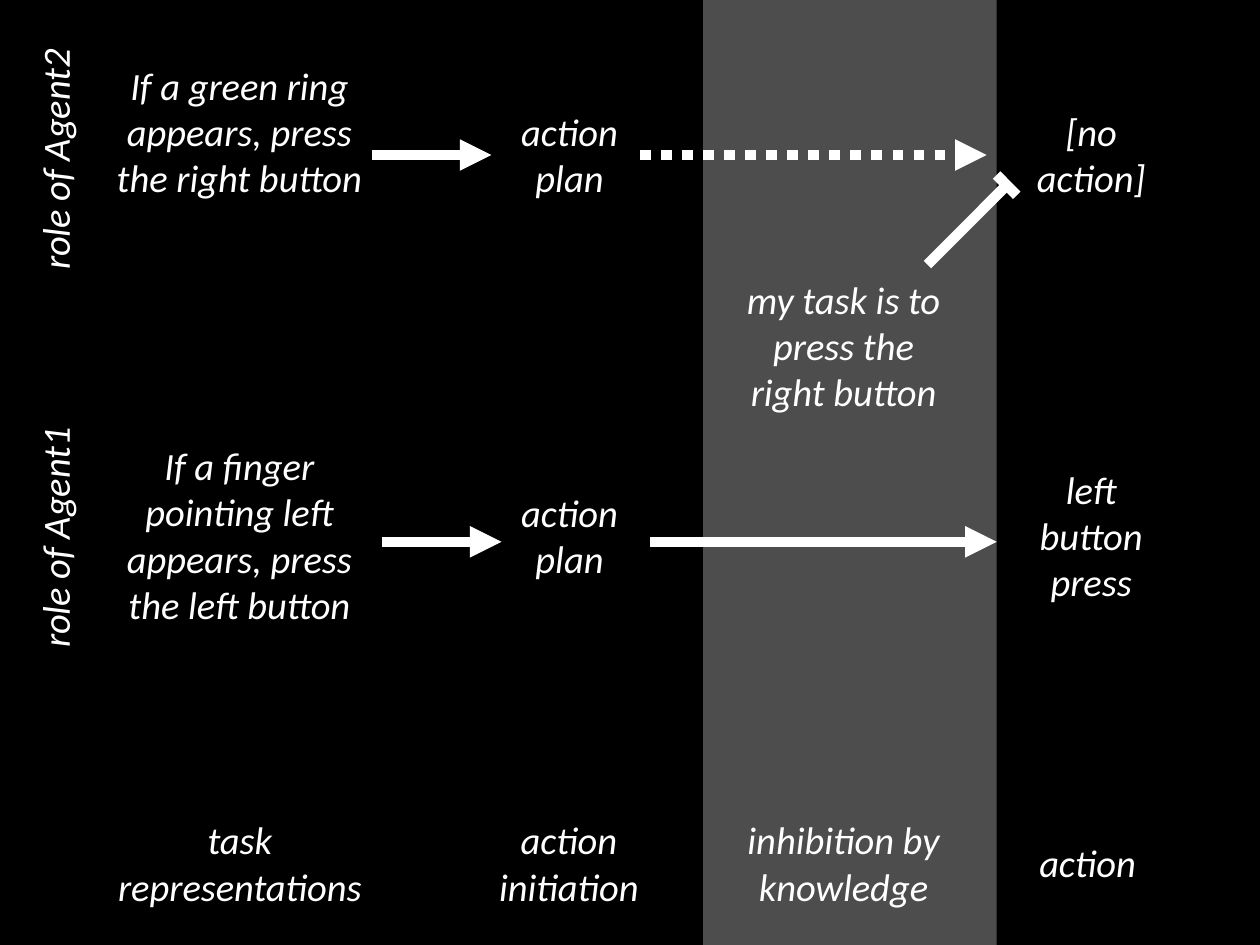
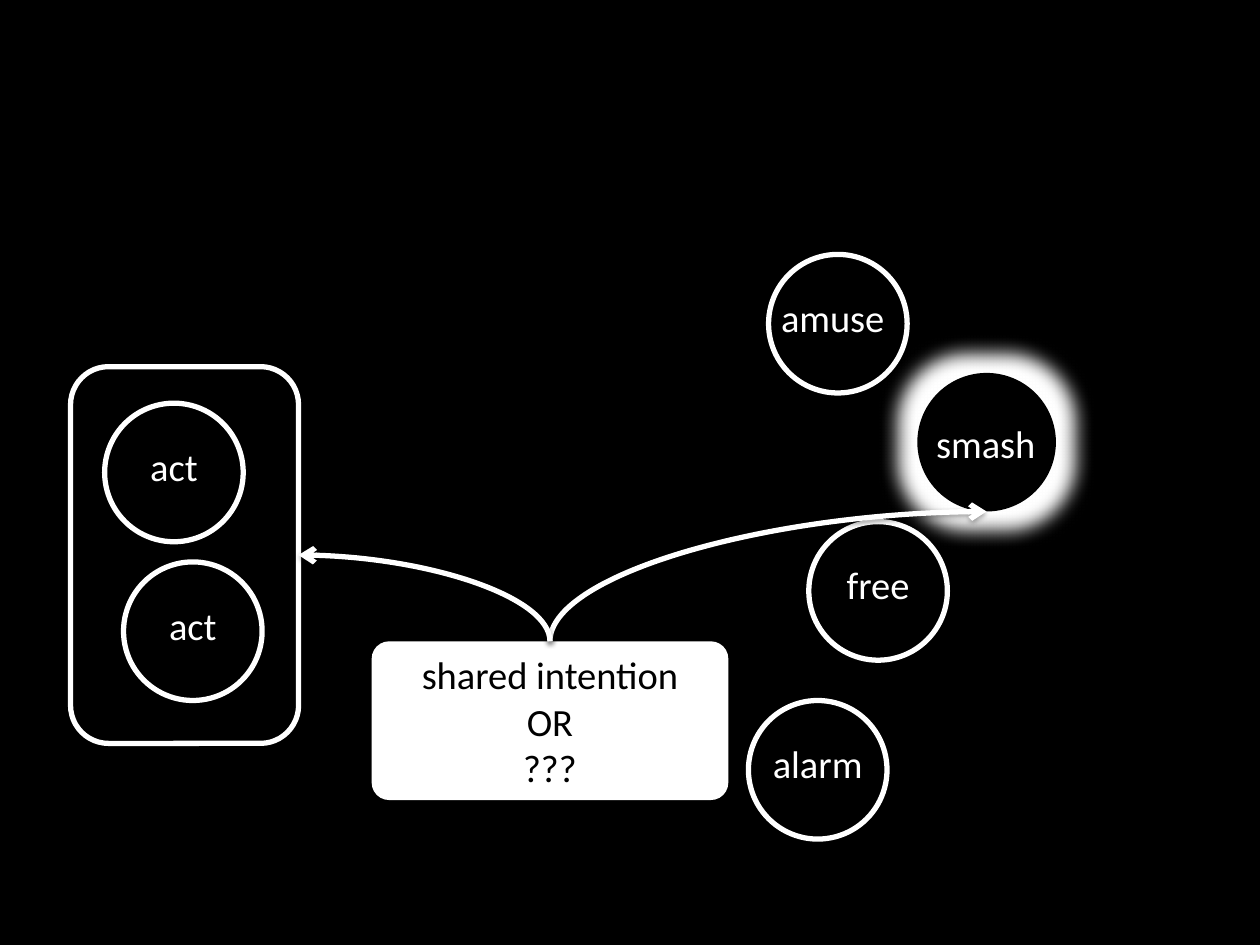
from lxml.etree import SubElement
from pptx import Presentation
from pptx.dml.color import RGBColor
from pptx.enum.dml import MSO_LINE
from pptx.enum.shapes import MSO_CONNECTOR, MSO_SHAPE
from pptx.enum.text import MSO_ANCHOR, PP_ALIGN
from pptx.oxml.ns import qn
from pptx.util import Pt

BLACK = "000000"
WHITE = "FFFFFF"
GREY = "4D4D4D"
FONT = "Calibri"
TEXT_SIZE = 22
CIRCLE_SIZE = 79.2
ROW_GAP = 217.5


def color(value):
    return RGBColor.from_string(value)


class Deck:
    def __init__(self):
        self.presentation = Presentation()
        self.presentation.slide_width = Pt(720)
        self.presentation.slide_height = Pt(540)
        self.slide = None

    def new_slide(self):
        self.slide = self.presentation.slides.add_slide(self.presentation.slide_layouts[6])
        fill = self.slide.background.fill
        fill.solid()
        fill.fore_color.rgb = color(BLACK)

    def fill_text(self, frame, lines, text_color=WHITE, align=PP_ALIGN.CENTER, italic=False, spacing=None):
        frame.text = "\n".join(lines)
        for paragraph in frame.paragraphs:
            paragraph.alignment = align
            if spacing:
                paragraph.line_spacing = Pt(spacing)
            paragraph.font.name = FONT
            paragraph.font.size = Pt(TEXT_SIZE)
            paragraph.font.italic = italic
            paragraph.font.color.rgb = color(text_color)

    def text(self, text, left, top, width, height, wrap=True, italic=True, rotation=0):
        box = self.slide.shapes.add_textbox(Pt(left), Pt(top), Pt(width), Pt(height))
        box.rotation = rotation
        box.text_frame.word_wrap = wrap
        align = PP_ALIGN.CENTER if wrap else PP_ALIGN.LEFT
        self.fill_text(box.text_frame, [text], align=align, italic=italic)

    def shape(self, kind, left, top, width, height, fill=None, line=None):
        shape = self.slide.shapes.add_shape(kind, Pt(left), Pt(top), Pt(width), Pt(height))
        shape.shadow.inherit = False
        if fill:
            shape.fill.solid()
            shape.fill.fore_color.rgb = color(fill)
        else:
            shape.fill.background()
        if line:
            shape.line.color.rgb = color(line)
            shape.line.width = Pt(3)
        else:
            shape.line.fill.background()
        return shape

    def circle(self, left, top, text=None, side_inset=7.2, fill=None, line=WHITE):
        circle = self.shape(MSO_SHAPE.OVAL, left, top, CIRCLE_SIZE, CIRCLE_SIZE, fill, line)
        if text:
            frame = circle.text_frame
            frame.margin_left = frame.margin_right = Pt(side_inset)
            frame.vertical_anchor = MSO_ANCHOR.TOP
            self.fill_text(frame, [text], spacing=34)
        return circle

    def glow(self, shape, radius):
        effects = shape._element.spPr.find(qn("a:effectLst"))
        glow = SubElement(effects, qn("a:glow"), rad=str(Pt(radius)))
        SubElement(glow, qn("a:srgbClr"), val=WHITE)

    def connector(self, kind, x1, y1, x2, y2, width):
        connector = self.slide.shapes.add_connector(kind, Pt(x1), Pt(y1), Pt(x2), Pt(y2))
        connector.line.color.rgb = color(WHITE)
        connector.line.width = Pt(width)
        effects = SubElement(connector._element.spPr, qn("a:effectLst"))
        return connector, effects

    def line(self, x1, y1, x2, y2, arrow=False, dotted=False):
        connector, _ = self.connector(MSO_CONNECTOR.STRAIGHT, x1, y1, x2, y2, 6)
        if dotted:
            connector.line.dash_style = MSO_LINE.ROUND_DOT
        if arrow:
            self.arrowhead(connector, "a:tailEnd", "triangle")

    def arrowhead(self, connector, end, kind):
        outline = connector._element.spPr.find(qn("a:ln"))
        SubElement(outline, qn(end), type=kind)

    def curve(self, target, target_site, source, source_site):
        connector, effects = self.connector(MSO_CONNECTOR.CURVE, 0, 0, 0, 0, 3)
        connector.begin_connect(target, target_site)
        connector.end_connect(source, source_site)
        connector._element.spPr.find(qn("a:prstGeom")).set("prst", "curvedConnector2")
        self.arrowhead(connector, "a:headEnd", "arrow")
        shadow = SubElement(effects, qn("a:outerShdw"), blurRad=str(Pt(3)), dist=str(Pt(1.5)),
                            dir="5400000", rotWithShape="0")
        shade = SubElement(shadow, qn("a:srgbClr"), val=BLACK)
        SubElement(shade, qn("a:alpha"), val="38000")


def build_inhibition(deck):
    deck.new_slide()
    deck.shape(MSO_SHAPE.RECTANGLE, 401.76, 0, 167.76, 540, GREY)

    tasks = ["If a green ring appears, press the right button",
             "If a finger pointing left appears, press the left button"]
    for row, task in enumerate(tasks):
        offset = row * ROW_GAP
        deck.text(task, 57.6, 31.7 + offset, 158.4, 112.3)
        deck.text("action plan", 277.2, 58.3 + offset, 96.5, 60)
    deck.text("[no action]", 575.3, 58.3, 96.5, 60)
    deck.text("left button press", 575.3, 262.8, 96.5, 86)
    deck.text("my task is to press the right button", 416.9, 154, 130.3, 86)

    for stage, left, width in [("task representations", 48.2, 177.8),
                               ("action initiation", 263.5, 123.1),
                               ("inhibition by knowledge", 411.1, 141.8)]:
        deck.text(stage, left, 463, width, 60)
    deck.text("action", 586.8, 476, 72, 33.1, wrap=False)

    deck.line(530, 151.2, 575.3, 105.8)
    deck.line(569.5, 100, 581, 111.6)
    for left, top, dotted in [(212.4, 88.6, True), (218.2, 309.6, False)]:
        deck.line(left, top, left + 68.4, top, arrow=True)
        deck.line(left + 153.4, top, left + 351.4, top, arrow=True, dotted=dotted)

    for role, top in [("role of Agent2", 74.2), ("role of Agent1", 290.2)]:
        deck.text(role, -39.6, top, 141.1, 33.1, wrap=False, rotation=270)


def build_shared_intention(deck):
    deck.new_slide()
    agents = deck.shape(MSO_SHAPE.ROUNDED_RECTANGLE, 40.3, 209.5, 130.3, 215.3, BLACK, WHITE)
    deck.circle(59.8, 230.4, "act")
    smash = deck.circle(524.2, 213.1, fill=BLACK, line=None)
    deck.glow(smash, 22)
    deck.circle(70.6, 321.1, "act")
    deck.text("smash", 527.8, 236.2, 75.6, 33.8, wrap=False, italic=False)
    deck.circle(439.2, 145.4)
    deck.circle(462.2, 298.1, "free")
    deck.circle(427.7, 400.3, "alarm", side_inset=0)
    deck.text("amuse", 439.2, 164.2, 77.8, 33.8, wrap=False, italic=False)

    intention = deck.shape(MSO_SHAPE.ROUNDED_RECTANGLE, 212.4, 366.5, 203.8, 90.7, WHITE)
    intention.adjustments[0] = 0.11
    intention.text_frame.vertical_anchor = MSO_ANCHOR.MIDDLE
    deck.fill_text(intention.text_frame, ["shared intention", "OR", "???"], BLACK)
    deck.curve(smash, 2, intention, 0)
    deck.curve(agents, 3, intention, 0)


def main():
    deck = Deck()
    build_inhibition(deck)
    build_shared_intention(deck)
    deck.presentation.save("out.pptx")


if __name__ == "__main__":
    main()
